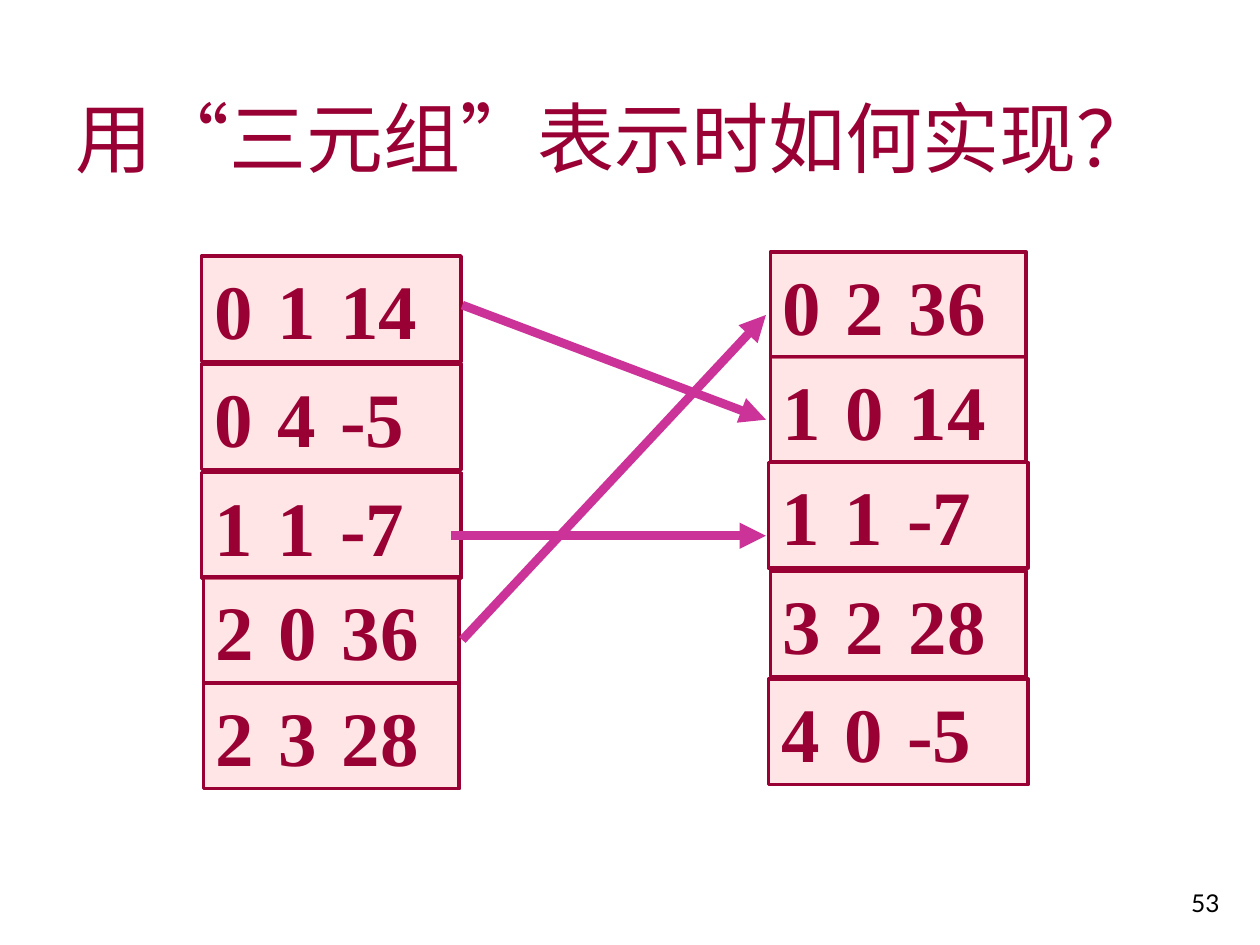
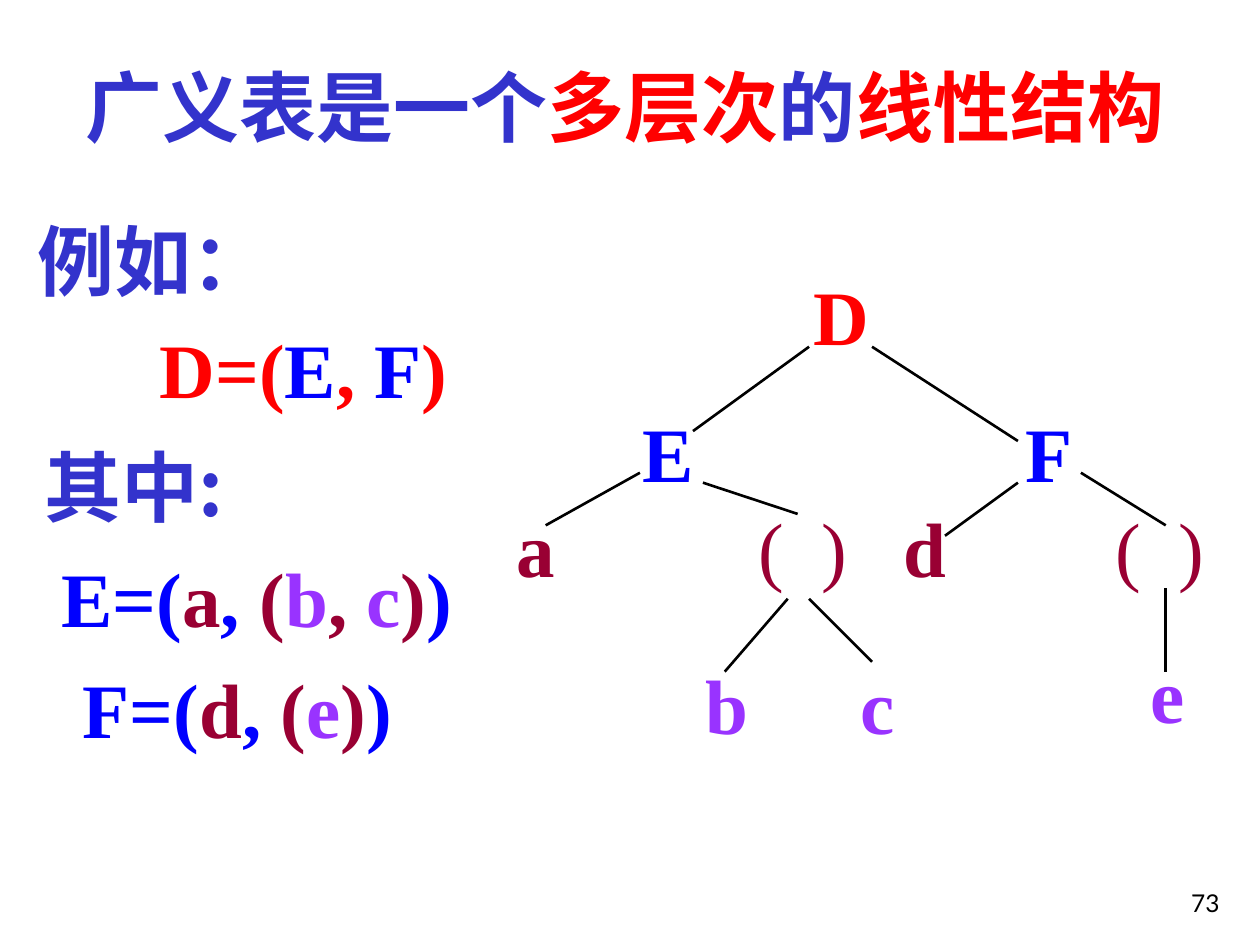
"""Build two slides: transposing a triple table, and a generalized list as a tree."""
from lxml.etree import SubElement
from pptx import Presentation
from pptx.dml.color import RGBColor
from pptx.enum.shapes import MSO_CONNECTOR, MSO_SHAPE
from pptx.enum.text import MSO_ANCHOR, MSO_AUTO_SIZE, PP_ALIGN
from pptx.oxml.ns import qn
from pptx.util import Cm, Pt

COLORS = {
    "wine": "990033", "rose": "FFCCCC", "pink": "CC3399", "indigo": "3333CC",
    "red": "FF0000", "blue": "0000FF", "violet": "9933FF", "black": "000000",
}
SERIF, CJK, SANS = "Times New Roman", "Noto Sans CJK SC", "Lato"
LINE_HEIGHT = 2.13
TITLE_WIDTH = 22.25
WIDE, NARROW = 5.23, 5.16
TRIPLE_TABS = (1.55, 3.1)
PAREN_TABS = (1.29,)


def color(name):
    return RGBColor.from_string(COLORS[name])


def place(shape, left, top, width, height):
    shape.left, shape.top, shape.width, shape.height = map(Cm, (left, top, width, height))


def prepare_frame(shape, anchor=MSO_ANCHOR.TOP):
    frame = shape.text_frame
    frame.word_wrap = True
    frame.auto_size = MSO_AUTO_SIZE.NONE
    frame.vertical_anchor = anchor
    frame.margin_left, frame.margin_right = Cm(0.25), 0
    frame.margin_top = frame.margin_bottom = Cm(0.13)
    return frame


def write(para, spans, bold=True, font=SERIF, size=44, tabs=(), indent=0,
          align=PP_ALIGN.LEFT):
    """Fill a paragraph with (text, colour) spans that share one font."""
    properties = para._p.get_or_add_pPr()
    properties.set("marL", str(Cm(indent)))
    properties.set("indent", "0")
    if tabs:
        tab_list = SubElement(properties, qn("a:tabLst"))
        for position in tabs:
            SubElement(tab_list, qn("a:tab"), pos=str(Cm(position)), algn="l")
    para.alignment = align
    para.font.name, para.font.size, para.font.bold = font, Pt(size), bold
    SubElement(properties.find(qn("a:defRPr")), qn("a:ea"), typeface=CJK)
    for text, shade in spans:
        span = para.add_run()
        span.text = text
        span.font.color.rgb = color(shade)


def add_page(deck, spans, number, left, top, bold):
    page = deck.slides.add_slide(deck.slide_layouts[5])
    title = page.shapes.title
    place(title, left, top, TITLE_WIDTH, LINE_HEIGHT)
    write(prepare_frame(title).paragraphs[0], spans, bold=bold)
    box = page.shapes.add_textbox(Cm(19.56), Cm(17.83), Cm(5.28), Cm(0.79))
    frame = prepare_frame(box, MSO_ANCHOR.BOTTOM)
    frame.margin_right = Cm(0.25)
    write(frame.paragraphs[0], [(number, "black")], bold=False, font=SANS, size=14,
          align=PP_ALIGN.RIGHT)
    return page


def add_label(page, left, top, width, spans, **style):
    box = page.shapes.add_textbox(Cm(left), Cm(top), Cm(width), Cm(LINE_HEIGHT))
    write(prepare_frame(box).paragraphs[0], spans, **style)


def add_triples(page, center, rows):
    """Stack one bordered cell per triple around a column centre."""
    for triple, top, width in rows:
        cell = page.shapes.add_shape(MSO_SHAPE.RECTANGLE, Cm(center - width / 2), Cm(top),
                                     Cm(width), Cm(LINE_HEIGHT))
        cell.shadow.inherit = False
        cell.fill.solid()
        cell.fill.fore_color.rgb = color("rose")
        shade = cell._element.spPr.find(qn("a:solidFill"))[0]
        SubElement(shade, qn("a:alpha"), val="50000")
        cell.line.color.rgb = color("wine")
        cell.line.width = Pt(2)
        text = "\t".join(str(value) for value in triple)
        write(prepare_frame(cell).paragraphs[0], [(text, "wine")], tabs=TRIPLE_TABS)


def add_line(page, ends, shade, width, arrow=False):
    line = page.shapes.add_connector(MSO_CONNECTOR.STRAIGHT, *map(Cm, ends))
    line.line.color.rgb = color(shade)
    line.line.width = Pt(width)
    if arrow:
        SubElement(line.line._get_or_add_ln(), qn("a:tailEnd"), type="triangle")
    SubElement(line._element.spPr, qn("a:effectLst"))


def build_transpose(deck):
    page = add_page(deck, [("用“三元组”表示时如何实现？", "wine")], "53", 1.27, 1.7, False)
    add_triples(page, 6.68, [
        ((0, 1, 14), 5.16, WIDE), ((0, 4, -5), 7.34, WIDE), ((1, 1, -7), 9.53, WIDE),
        ((2, 0, 36), 11.63, NARROW), ((2, 3, 28), 13.77, NARROW)])
    add_triples(page, 18.11, [
        ((0, 2, 36), 5.08, NARROW), ((1, 0, 14), 7.19, NARROW), ((1, 1, -7), 9.32, WIDE),
        ((3, 2, 28), 11.51, NARROW), ((4, 0, -5), 13.69, WIDE)])
    for ends in [(9.32, 12.9, 15.44, 6.35), (9.32, 6.15, 15.44, 8.46),
                 (9.09, 10.8, 15.44, 10.8)]:
        add_line(page, ends, "pink", 5, arrow=True)


def add_definitions(page):
    box = page.shapes.add_textbox(Cm(0.64), Cm(8.36), Cm(9.14), Cm(6.96))
    frame = prepare_frame(box)
    lines = [
        ([("其中:", "indigo")], CJK, 0),
        ([("E=(", "blue"), ("a", "wine"), (", ", "blue"), ("(", "wine"), ("b", "violet"),
          (", ", "wine"), ("c", "violet"), (")", "wine"), (")", "blue")], SERIF, 0.35),
        ([("F=(", "blue"), ("d", "wine"), (",", "blue"), (" (", "wine"), ("e", "violet"),
          (")", "wine"), (")", "blue")], SERIF, 0.78),
    ]
    for index, (spans, font, indent) in enumerate(lines):
        para = frame.add_paragraph() if index else frame.paragraphs[0]
        para.line_spacing = 1.2
        write(para, spans, font=font, indent=indent)


def add_tree(page):
    nodes = [
        ("D", "red", 16.15, 5.28, 1.63), ("E", "blue", 12.7, 8.05, 1.55),
        ("F", "blue", 20.42, 8.05, 1.45), ("a", "wine", 10.16, 9.96, 1.27),
        ("d", "wine", 17.96, 9.96, 1.37), ("b", "violet", 13.97, 13.13, 1.37),
        ("c", "violet", 17.09, 13.13, 1.19), ("e", "violet", 22.94, 12.9, 1.19),
    ]
    for name, shade, left, top, width in nodes:
        add_label(page, left, top, width, [(name, shade)])
    for left in (15.04, 22.23):
        add_label(page, left, 9.96, 2.31, [("(\t)", "wine")], bold=False, tabs=PAREN_TABS)
    branches = [
        (16.31, 6.99, 13.97, 8.69), (17.58, 6.99, 20.52, 8.89),
        (12.9, 9.53, 11, 10.59), (14.17, 9.73, 16.08, 10.36),
        (15.88, 12.07, 14.61, 13.54), (16.31, 12.07, 17.58, 13.34),
        (20.52, 9.73, 19.05, 10.8), (21.79, 9.53, 23.5, 10.59),
        (23.5, 11.86, 23.5, 13.54),
    ]
    for ends in branches:
        add_line(page, ends, "black", 1.5)


def build_list_tree(deck):
    heading = [("广义表是一个", "indigo"), ("多层次", "red"), ("的", "indigo"),
               ("线性结构", "red")]
    page = add_page(deck, heading, "73", 1.47, 1.07, True)
    add_label(page, 0.51, 4.17, 5.16, [("例如：", "indigo")])
    add_label(page, 2.97, 6.35, 6.3, [("D=(", "red"), ("E", "blue"), (", ", "red"),
                                     ("F", "blue"), (")", "red")])
    add_definitions(page)
    add_tree(page)


def main():
    deck = Presentation()
    deck.slide_width, deck.slide_height = Cm(25.4), Cm(19.05)
    build_transpose(deck)
    build_list_tree(deck)
    deck.save("out.pptx")


if __name__ == "__main__":
    main()
